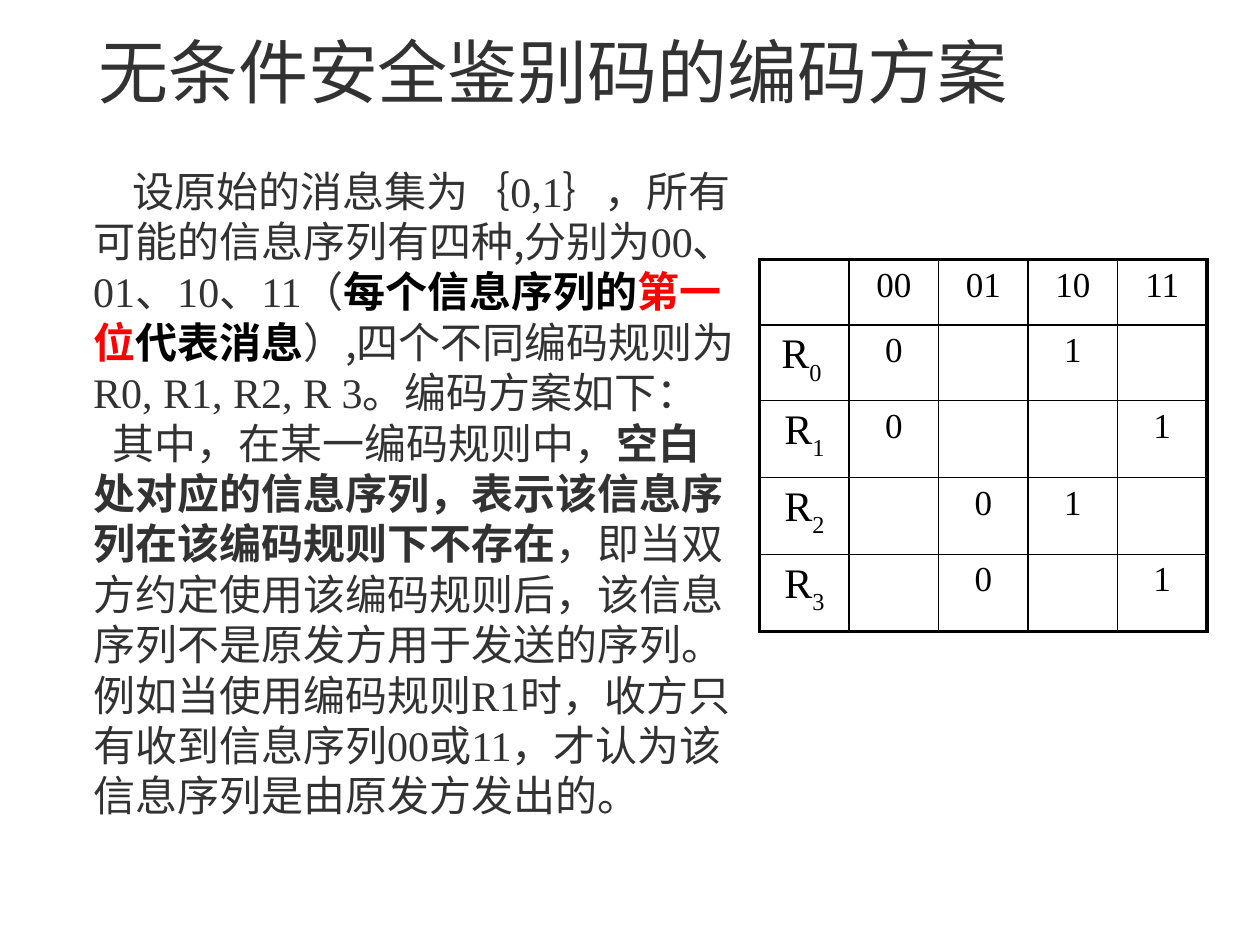
from lxml import etree
from pptx import Presentation
from pptx.dml.color import RGBColor
from pptx.enum.text import MSO_ANCHOR, MSO_AUTO_SIZE, PP_ALIGN
from pptx.oxml.ns import qn
from pptx.util import Inches, Pt

LEFT, CENTER = PP_ALIGN.LEFT, PP_ALIGN.CENTER
TOP, BOTTOM = MSO_ANCHOR.TOP, MSO_ANCHOR.BOTTOM
NO_AUTOFIT = MSO_AUTO_SIZE.NONE
CJK, LATIN = "Noto Sans CJK SC", "Times New Roman"
GREY, BLACK, RED = "323232", "000000", "FF0000"

# Content
TITLE = "无条件安全鉴别码的编码方案"
# Each paragraph: first-line indent, space after, runs of (text, font, colour, bold)
PARAGRAPHS = [
    (0.31, 0, [
        ("设原始的消息集为｛", CJK, GREY, False),
        ("0,1｝，", LATIN, GREY, False),
        ("所有可能的信息序列有四种,分别为", CJK, GREY, False),
        ("00、01、10、11", LATIN, GREY, False),
        ("（", CJK, GREY, False),
        ("每个信息序列的", CJK, BLACK, True),
        ("第一位", CJK, RED, True),
        ("代表消息", CJK, BLACK, True),
        ("）,四个不同编码规则为", CJK, GREY, False),
        ("R0, R1, R2, R 3", LATIN, GREY, False),
        ("。编码方案如下：", CJK, GREY, False),
    ]),
    (0.15, 12, [
        ("其中，在某一编码规则中，", CJK, GREY, False),
        ("空白处对应的信息序列，表示该信息序列在该编码规则下不存在", CJK, GREY, True),
        ("，即当双方约定使用该编码规则后，该信息序列不是原发方用于发送的序列。"
         "例如当使用编码规则", CJK, GREY, False),
        ("R1", LATIN, GREY, False),
        ("时，收方只有收到信息序列", CJK, GREY, False),
        ("00", LATIN, GREY, False),
        ("或", CJK, GREY, False),
        ("11", LATIN, GREY, False),
        ("，才认为该信息序列是由原发方发出的。", CJK, GREY, False),
    ]),
]
SEQUENCES = ["", "00", "01", "10", "11"]
# Each rule: subscript of R, then the message under each sequence
RULES = [
    ("0 ", "0", "", "1", ""),
    ("1", "0", "", "", "1"),
    ("2", "", "0", "1", ""),
    ("3", "", "0", "", "1"),
]
ROW_HEIGHTS = [0.52, 0.6, 0.61, 0.61, 0.61]
COLUMN_WIDTH = 0.71


def rgb(value):
    return RGBColor.from_string(value)


def add_run(paragraph, text, font, size, color, bold=False):
    run = paragraph.add_run()
    run.text = text
    run.font.size = Pt(size)
    run.font.bold = bold
    run.font.color.rgb = rgb(color)
    run.font.name = font
    etree.SubElement(run.font._element, qn("a:ea"), typeface=CJK)
    return run


def place(holder, left, top, width, height, anchor):
    holder.left, holder.top = Inches(left), Inches(top)
    holder.width, holder.height = Inches(width), Inches(height)
    frame = holder.text_frame
    frame.margin_left = frame.margin_right = 0
    frame.margin_top = frame.margin_bottom = 0
    frame.word_wrap = True
    frame.auto_size = NO_AUTOFIT
    frame.vertical_anchor = anchor
    return frame


def set_borders(cell, widths):
    properties = cell._tc.get_or_add_tcPr()
    for side, width in widths.items():
        line = etree.SubElement(properties, qn("a:ln" + side), w=str(Pt(width)))
        fill = etree.SubElement(line, qn("a:solidFill"))
        etree.SubElement(fill, qn("a:srgbClr"), val=BLACK)


prs = Presentation()
prs.slide_width, prs.slide_height = Inches(10), Inches(7.5)
slide = prs.slides.add_slide(prs.slide_layouts[1])

# Title
heading = place(slide.shapes.title, 0.78, 0.2, 8.98, 0.69, BOTTOM).paragraphs[0]
heading.alignment = LEFT
heading.line_spacing = Pt(26)
add_run(heading, TITLE, CJK, 40, GREY)

# Explanation
explanation = place(slide.placeholders[1], 0.36, 1.31, 5.48, 5.19, TOP)
for index, (indent, after, runs) in enumerate(PARAGRAPHS):
    paragraph = explanation.add_paragraph() if index else explanation.paragraphs[0]
    paragraph.alignment = LEFT
    paragraph.line_spacing = Pt(28.8)
    paragraph.space_before, paragraph.space_after = Pt(0), Pt(after)
    properties = paragraph._p.get_or_add_pPr()
    properties.set("marL", str(Inches(0.38)))
    properties.set("indent", str(Inches(indent)))
    etree.SubElement(properties, qn("a:buNone"))
    for text, font, color, bold in runs:
        add_run(paragraph, text, font, 24, color, bold)

# Coding table
rows = [SEQUENCES, *RULES]
last_row, last_column = len(rows) - 1, len(SEQUENCES) - 1
code_table = slide.shapes.add_table(
    len(rows), len(SEQUENCES), Inches(6.03), Inches(2.06),
    Inches(COLUMN_WIDTH * len(SEQUENCES)), Inches(sum(ROW_HEIGHTS))).table
code_table.first_row = code_table.horz_banding = False
for column in code_table.columns:
    column.width = Inches(COLUMN_WIDTH)
for r, values in enumerate(rows):
    code_table.rows[r].height = Inches(ROW_HEIGHTS[r])
    for c, value in enumerate(values):
        cell = code_table.cell(r, c)
        set_borders(cell, {"L": 2 if c == 0 else 1,
                           "R": 2 if c == last_column else 1,
                           "T": 2 if r == 0 else 1,
                           "B": 2 if r == last_row else 1})
        cell.fill.background()
        paragraph = cell.text_frame.paragraphs[0]
        paragraph.alignment = CENTER
        if r and c == 0:
            add_run(paragraph, "R", LATIN, 24, BLACK)
            subscript = add_run(paragraph, value, LATIN, 24, BLACK)
            subscript.font._element.set("baseline", "-30000")
        elif value:
            add_run(paragraph, value, LATIN, 20, BLACK)

prs.save("out.pptx")
